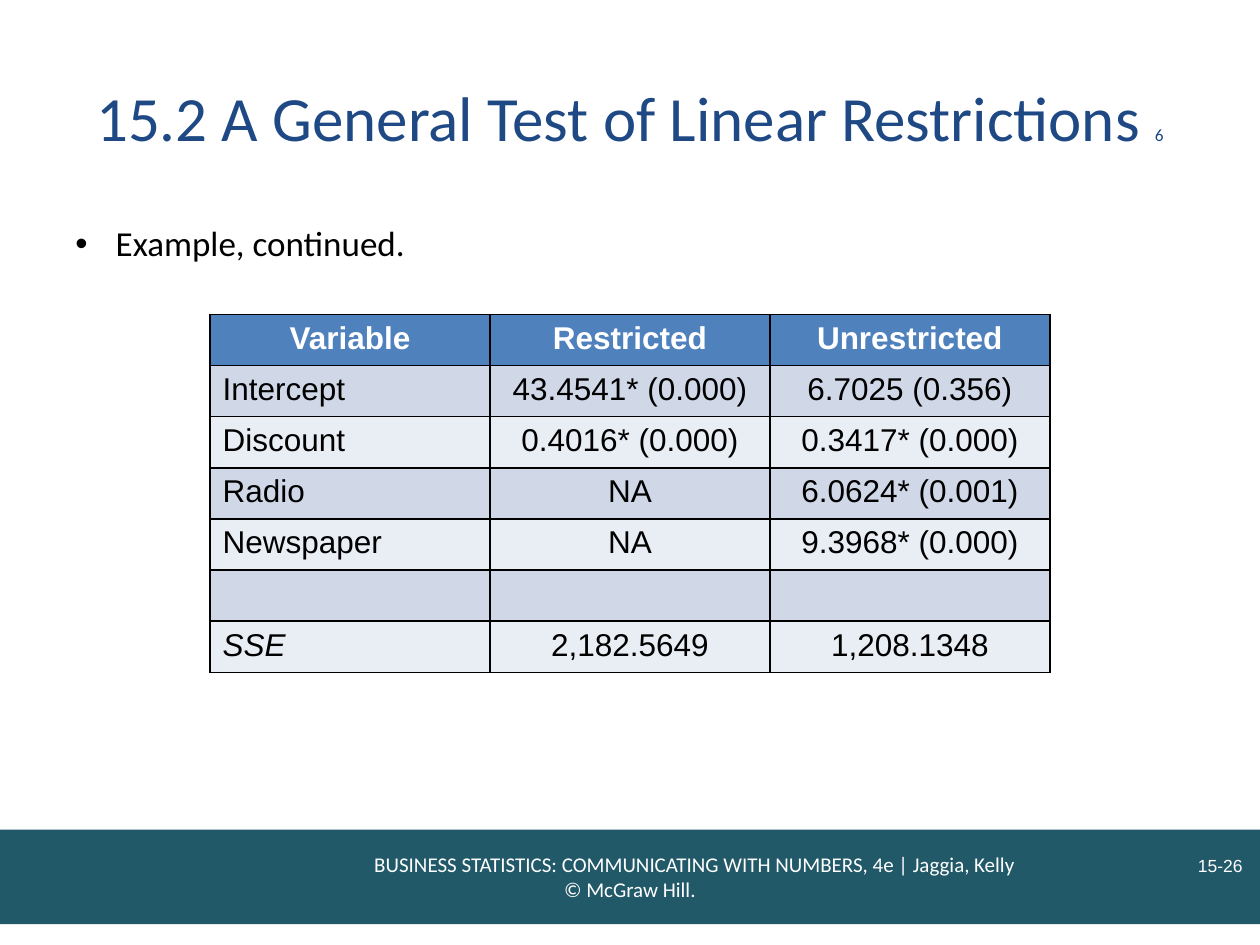
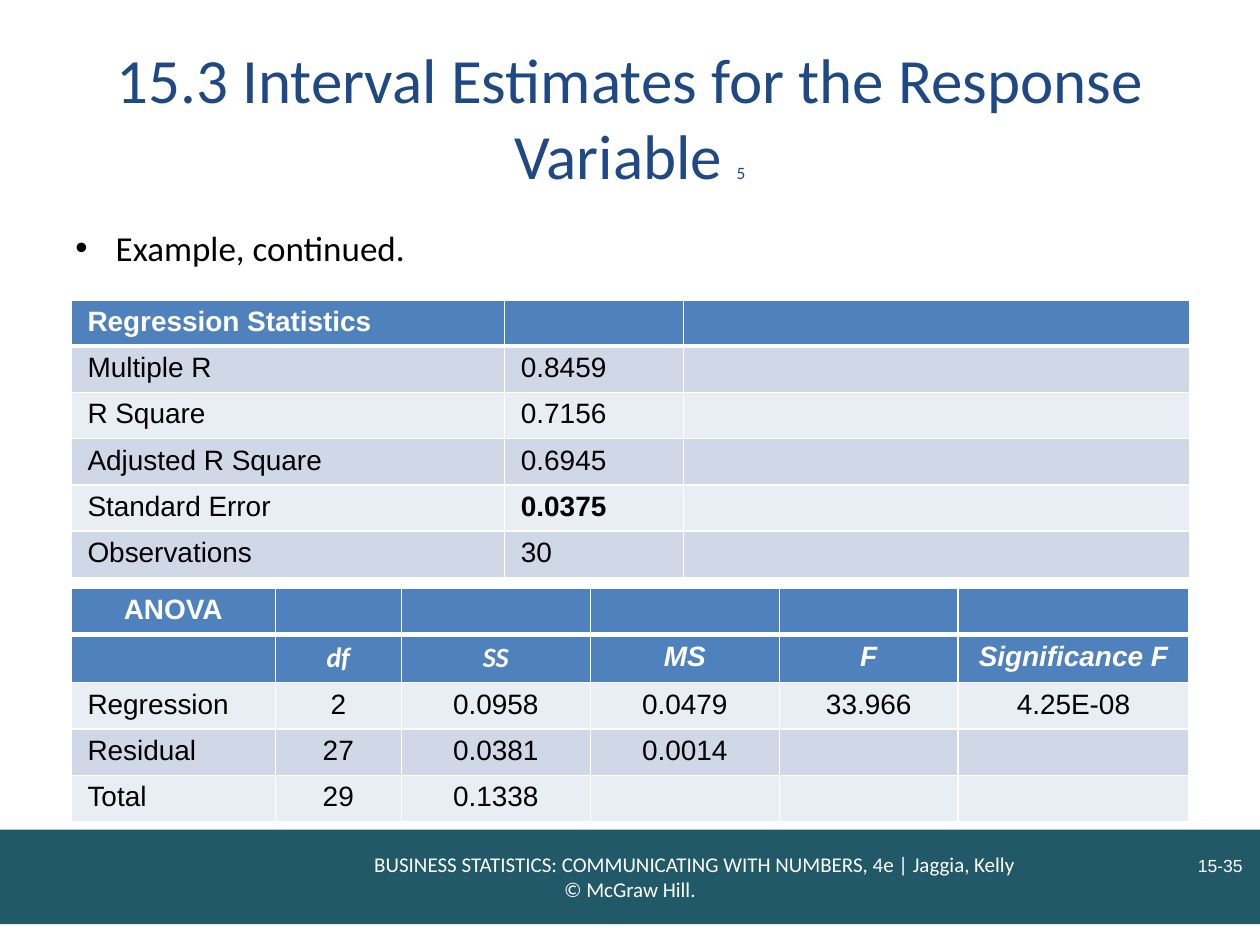
from dataclasses import dataclass

from lxml.etree import SubElement
from pptx import Presentation
from pptx.dml.color import RGBColor
from pptx.enum.shapes import MSO_SHAPE as Shape
from pptx.enum.text import MSO_ANCHOR as Anchor, PP_ALIGN as Align
from pptx.oxml.ns import qn
from pptx.util import Inches, Pt

# Page grid: 100 columns by 75 rows of square units
PAGE_WIDTH, PAGE_HEIGHT = Inches(10), Inches(7.5)
UNIT = PAGE_WIDTH / 100

COLORS = {
    "title": "1F4984",
    "band": "215968",
    "header": "4F81BD",
    "stripe": "D0D8E8",
    "plain": "E9EDF4",
    "black": "000000",
    "white": "FFFFFF",
}
HEADING_FONT, DATA_FONT = "Calibri", "Arial"
FOOTER_LINES = (
    "BUSINESS STATISTICS: COMMUNICATING WITH NUMBERS, 4e | Jaggia, Kelly",
    "© McGraw Hill.",
)


@dataclass(frozen=True)
class Area:
    left: float
    top: float
    width: float
    height: float

    def lengths(self) -> tuple:
        return tuple(units(n) for n in (self.left, self.top, self.width, self.height))


@dataclass(frozen=True)
class DataTable:
    left: float
    top: float
    columns: tuple
    rows: tuple
    cells: tuple
    size: int
    border: str
    header_align: Align = Align.CENTER
    data_align: Align = Align.CENTER
    header_rows: int = 1
    header_rule: int = 1  # points below the first row
    side_margin: float = 1
    bold: tuple = ()
    italic: tuple = ()
    heading_font: tuple = ()


@dataclass(frozen=True)
class Page:
    title: str
    title_count: str
    number: str
    line_spacing: float
    tables: tuple


BAND = Area(0, 65.85, 100, 7.5)
NUMBER = Area(84.6, 65, 15, 5)
TITLE = Area(5, 3, 90, 12.5)
BODY = Area(5, 17.5, 90, 4.5)

RESTRICTIONS = DataTable(
    left=16.67, top=24.95, columns=(22.22,) * 3, rows=(4.06,) * 7,
    size=18, border="black", italic=((6, 0),),
    cells=(
        ("Variable", "Restricted", "Unrestricted"),
        ("Intercept", "43.4541* (0.000)", "6.7025 (0.356)"),
        ("Discount", "0.4016* (0.000)", "0.3417* (0.000)"),
        ("Radio", "NA", "6.0624* (0.001)"),
        ("Newspaper", "NA", "9.3968* (0.000)"),
        ("", "", ""),
        ("SSE", "2,182.5649", "1,208.1348"),
    ),
)
REGRESSION = DataTable(
    left=5.65, top=23.8, columns=(34.4, 14.2, 40.2), rows=(3.62,) * 6,
    size=16, border="white", header_align=Align.LEFT, data_align=Align.LEFT,
    header_rule=3, side_margin=1.3, bold=((4, 1),),
    cells=(
        ("Regression Statistics", "", ""),
        ("Multiple R", "0.8459", ""),
        ("R Square", "0.7156", ""),
        ("Adjusted R Square", "0.6945", ""),
        ("Standard Error", "0.0375", ""),
        ("Observations", "30", ""),
    ),
)
ANOVA = DataTable(
    left=5.65, top=46.7, columns=(16.2, 10, 15, 15, 14.2, 18.3),
    rows=(3.6, 3.8, 3.5, 3.7, 3.7),
    size=16, border="white", header_rows=2, header_rule=3, side_margin=1.3,
    italic=tuple((1, column) for column in range(1, 6)),
    heading_font=((1, 1), (1, 2)),
    cells=(
        ("ANOVA", "", "", "", "", ""),
        ("", "df", "SS", "MS", "F", "Significance F"),
        ("Regression", "2", "0.0958", "0.0479", "33.966", "4.25E-08"),
        ("Residual", "27", "0.0381", "0.0014", "", ""),
        ("Total", "29", "0.1338", "", "", ""),
    ),
)
PAGES = (
    Page("15.2 A General Test of Linear Restrictions ", "6", "15-26", 0.9,
         (RESTRICTIONS,)),
    Page("15.3 Interval Estimates for the Response Variable ", "5", "15-35", 1.0,
         (REGRESSION, ANOVA)),
)


def units(count: float) -> int:
    return round(count * UNIT)


def rgb(name: str) -> RGBColor:
    return RGBColor.from_string(COLORS[name])


def style(para, font: str, size: float, color: str, bold=False, italic=False) -> None:
    for span in para.runs:
        span.font.name = font
        span.font.size = Pt(size)
        span.font.color.rgb = rgb(color)
        span.font.bold = bold
        span.font.italic = italic


def add_text(slide, area: Area, text: str, align: Align, anchor: Anchor):
    box = slide.shapes.add_textbox(*area.lengths())
    frame = box.text_frame
    frame.word_wrap = True
    frame.vertical_anchor = anchor
    frame.text = text
    para = frame.paragraphs[0]
    para.alignment = align
    return para


def add_footer(slide, number: str) -> None:
    band = slide.shapes.add_shape(Shape.RECTANGLE, *BAND.lengths())
    band.shadow.inherit = False
    band.fill.solid()
    band.fill.fore_color.rgb = rgb("band")
    band.line.fill.background()
    frame = band.text_frame
    frame.word_wrap = True
    frame.vertical_anchor = Anchor.MIDDLE
    frame.text = "\n".join(FOOTER_LINES)
    for para in frame.paragraphs:
        para.alignment = Align.CENTER
        style(para, HEADING_FONT, 12, "white")
    # The first line is centred right of the page's middle
    frame.paragraphs[0]._p.get_or_add_pPr().set("marL", str(units(10.3)))

    para = add_text(slide, NUMBER, number, Align.RIGHT, Anchor.BOTTOM)
    style(para, DATA_FONT, 10, "white")


def add_title(slide, title: str, title_count: str) -> None:
    para = add_text(slide, TITLE, title, Align.CENTER, Anchor.MIDDLE)
    small = para.add_run()
    small.text = title_count
    style(para, HEADING_FONT, 36, "title")
    small.font.size = Pt(9.9)


def add_bullet(slide, text: str, line_spacing: float) -> None:
    para = add_text(slide, BODY, text, Align.LEFT, Anchor.TOP)
    para.line_spacing = line_spacing
    properties = para._p.get_or_add_pPr()
    properties.set("marL", str(units(3.2)))
    properties.set("indent", str(units(-3.2)))
    SubElement(properties, qn("a:buFont")).set("typeface", DATA_FONT)
    SubElement(properties, qn("a:buChar")).set("char", "•")
    style(para, HEADING_FONT, 20, "black")


def add_borders(cell, color: str, top: int, bottom: int) -> None:
    properties = cell._tc.get_or_add_tcPr()
    for side, width in (("L", 1), ("R", 1), ("T", top), ("B", bottom)):
        line = SubElement(properties, qn(f"a:ln{side}"))
        line.set("w", str(Pt(width)))
        fill = SubElement(line, qn("a:solidFill"))
        SubElement(fill, qn("a:srgbClr")).set("val", COLORS[color])


def fill_cell(cell, table: DataTable, row: int, column: int) -> None:
    place = (row, column)
    text = table.cells[row][column]
    header = row < table.header_rows
    add_borders(cell, table.border,
                top=table.header_rule if row == 1 else 1,
                bottom=table.header_rule if row == 0 else 1)
    cell.fill.solid()
    shade = "header" if header else "stripe" if row % 2 else "plain"
    cell.fill.fore_color.rgb = rgb(shade)
    cell.margin_left = cell.margin_right = units(table.side_margin)
    # Empty cells must not stretch their row
    cell.margin_top = cell.margin_bottom = units(0.5 if text else 0)
    if not text:
        return
    cell.text_frame.text = text
    para = cell.text_frame.paragraphs[0]
    if header:
        para.alignment = table.header_align
    else:
        para.alignment = table.data_align if column else Align.LEFT
    style(para, HEADING_FONT if place in table.heading_font else DATA_FONT,
          table.size, "white" if header else "black",
          bold=header or place in table.bold, italic=place in table.italic)


def add_data_table(slide, table: DataTable) -> None:
    area = Area(table.left, table.top, sum(table.columns), sum(table.rows))
    grid = slide.shapes.add_table(
        len(table.rows), len(table.columns), *area.lengths()).table
    grid.first_row = grid.horz_banding = False
    for column, width in zip(grid.columns, table.columns):
        column.width = units(width)
    for row, height in zip(grid.rows, table.rows):
        row.height = units(height)
    for row in range(len(table.rows)):
        for column in range(len(table.columns)):
            fill_cell(grid.cell(row, column), table, row, column)


def main() -> None:
    deck = Presentation()
    deck.slide_width, deck.slide_height = PAGE_WIDTH, PAGE_HEIGHT
    for page in PAGES:
        slide = deck.slides.add_slide(deck.slide_layouts[6])
        add_footer(slide, page.number)
        add_title(slide, page.title, page.title_count)
        add_bullet(slide, "Example, continued.", page.line_spacing)
        for table in page.tables:
            add_data_table(slide, table)
    deck.save("out.pptx")


if __name__ == "__main__":
    main()
